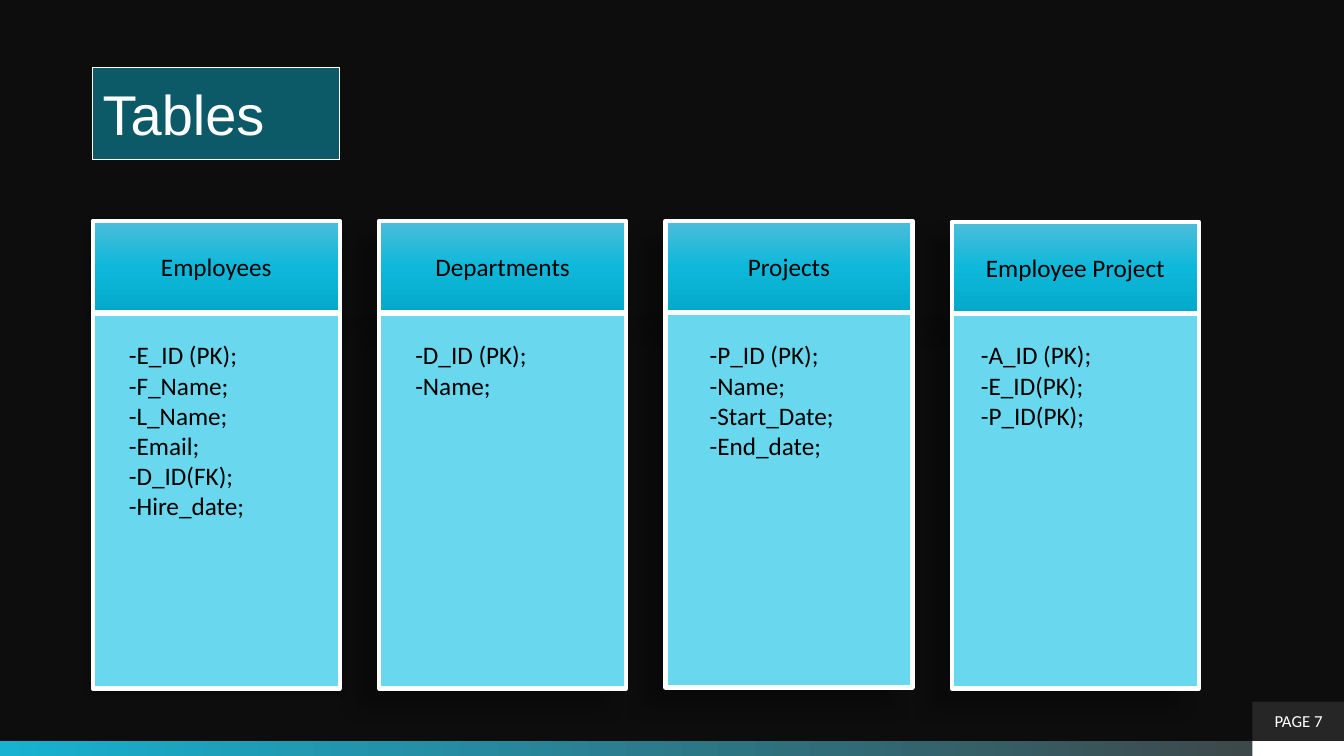
from pptx import Presentation
from pptx.dml.color import RGBColor
from pptx.enum.shapes import MSO_SHAPE as Shape
from pptx.enum.text import MSO_ANCHOR as Anchor, PP_ALIGN as Align
from pptx.oxml.ns import qn
from pptx.util import Inches, Pt
from lxml.etree import SubElement as Sub


def color(code):
    return RGBColor.from_string(code)


class Deck:
    ink = "000000"
    white = "FFFFFF"
    font = "Calibri"
    head = [(0, "4DBDDB"), (50, "0EB8DA"), (100, "04A9CA")]
    body = "69D8EE"

    def __init__(self, slide):
        self.slide = slide
        slide.background.fill.solid()
        slide.background.fill.fore_color.rgb = color("0D0D0D")

    def grade(self, shape, stops, angle):
        shape.fill.gradient()
        grad = shape._element.spPr.find(qn("a:gradFill"))
        grad.find(qn("a:lin")).set("ang", str(angle * 60000))
        items = grad.find(qn("a:gsLst"))
        for old in list(items):
            items.remove(old)
        for spot, code in stops:
            stop = Sub(items, qn("a:gs"), pos=str(spot * 1000))
            Sub(stop, qn("a:srgbClr"), val=code)

    def shade(self, shape, alpha, blur, dist, angle):
        effects = shape._element.spPr.find(qn("a:effectLst"))
        outer = Sub(effects, qn("a:outerShdw"), blurRad=str(Pt(blur)),
                    dist=str(Pt(dist)), dir=str(angle * 60000), rotWithShape="0")
        tint = Sub(outer, qn("a:srgbClr"), val="000000")
        Sub(tint, qn("a:alpha"), val=str(alpha * 1000))

    def box(self, place, fill, angle=0, line=0, shadow=None, home=None):
        home = home or self.slide
        shape = home.shapes.add_shape(Shape.RECTANGLE, *map(Inches, place))
        shape.shadow.inherit = False
        if isinstance(fill, str):
            shape.fill.solid()
            shape.fill.fore_color.rgb = color(fill)
        else:
            self.grade(shape, fill, angle)
        if line:
            shape.line.color.rgb = color(self.white)
            shape.line.width = Pt(line)
        else:
            shape.line.fill.background()
        if shadow:
            self.shade(shape, *shadow)
        return shape

    def label(self, shape, lines, size=18, code=ink, font=font,
              align=Align.CENTER, anchor=Anchor.MIDDLE):
        frame = shape.text_frame
        frame.word_wrap = True
        frame.vertical_anchor = anchor
        frame.text = "\n".join(lines)
        for para in frame.paragraphs:
            para.alignment = align
            para.font.size = Pt(size)
            para.font.name = font
            para.font.color.rgb = color(code)

    def card(self, left, top, split, name, fields, inset, width, height, shadow):
        group = self.slide.shapes.add_group_shape()
        head = self.box((left, top, 2.45, 0.91), self.head, 90, 3, shadow, group)
        self.label(head, [name])
        self.box((left, split, 2.45, 3.72), self.body, 0, 3, shadow, group)
        place = (left + inset, 3.32, width, height)
        text = group.shapes.add_textbox(*map(Inches, place))
        self.label(text, fields, align=Align.LEFT, anchor=Anchor.TOP)


def main():
    show = Presentation()
    show.slide_width, show.slide_height = Inches(13.33), Inches(7.5)
    deck = Deck(show.slides.add_slide(show.slide_layouts[6]))

    # Footer
    deck.box((0, 7.35, 13.33, 0.15), [(0, "17B2D1"), (100, "404040")])
    deck.box((12.42, 7.35, 0.92, 0.15), deck.white)
    page = deck.box((12.42, 6.96, 0.92, 0.39), "262626")
    deck.label(page, ["PAGE 7"], 12, deck.white)

    # Title
    title = deck.box((0.92, 0.67, 2.45, 0.91), "0C5968", line=0.75)
    deck.label(title, ["Tables"], 40, deck.white, "Arial", Align.LEFT)

    # Table cards
    near, far = (32, 3.5, 2.2, 90), (28, 11.8, 19.7, 141)
    cards = [
        (2.19, 3.11, "Employees",
         ["-E_ID (PK);", "-F_Name;", "-L_Name;", "-Email;", "-D_ID(FK);",
          "-Hire_date;"], 0.26, 1.91, 3.13, near),
        (2.19, 3.11, "Departments", ["-D_ID (PK);", "-Name;"],
         0.26, 1.91, 2.22, far),
        (2.19, 3.1, "Projects",
         ["-P_ID (PK);", "-Name;", "-Start_Date;", "-End_date;"],
         0.34, 1.69, 2.83, far),
        (2.2, 3.11, "Employee Project",
         ["-A_ID (PK);", "-E_ID(PK);", "-P_ID(PK);"], 0.19, 1.69, 2.52, far),
    ]
    for i, card in enumerate(cards):
        deck.card(0.92 + 2.84 * i, *card)

    show.save("out.pptx")


if __name__ == "__main__":
    main()
